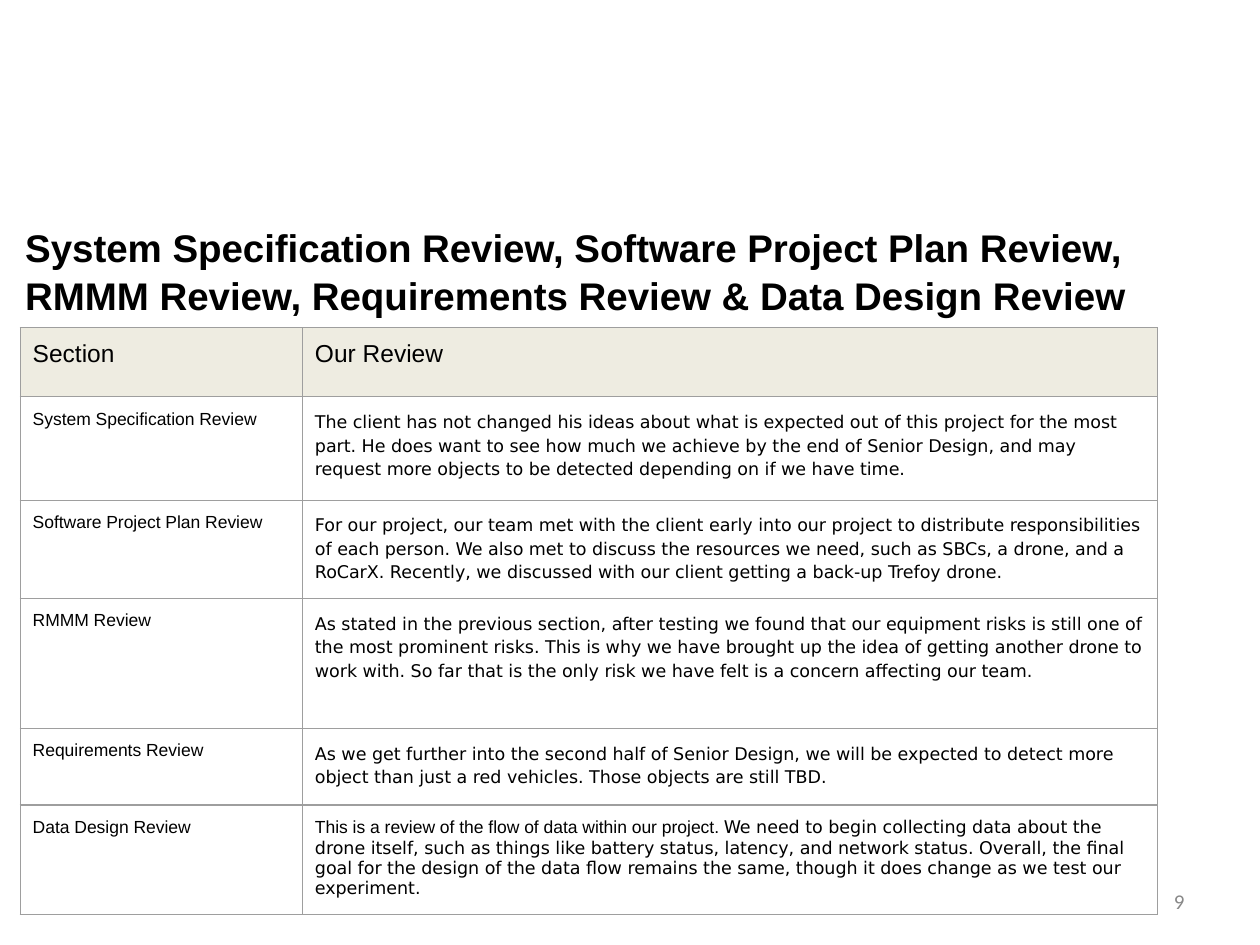
import pptx
import pptx.dml.color
import pptx.enum.text
import pptx.oxml
import pptx.oxml.ns
import pptx.util
from pptx.util import Inches

BODY_FONT = "DejaVu Sans"
LABEL_FONT = "Arial"
TITLE = ("System Specification Review, Software Project Plan Review, "
         "RMMM Review, Requirements Review & Data Design Review")
HEADERS = ("Section", "Our Review")
REVIEWS = [
    ("System Specification Review",
     "The client has not changed his ideas about what is expected out of this project for the "
     "most part. He does want to see how much we achieve by the end of Senior Design, and may "
     "request more objects to be detected depending on if we have time."),
    ("Software Project Plan Review",
     "For our project, our team met with the client early into our project to distribute "
     "responsibilities of each person. We also met to discuss the resources we need, such as "
     "SBCs, a drone, and a RoCarX. Recently, we discussed with our client getting a back-up "
     "Trefoy drone."),
    ("RMMM Review",
     "As stated in the previous section, after testing we found that our equipment risks is "
     "still one of the most prominent risks. This is why we have brought up the idea of getting "
     "another drone to work with. So far that is the only risk we have felt is a concern "
     "affecting our team."),
    ("Requirements Review",
     "As we get further into the second half of Senior Design, we will be expected to detect "
     "more object than just a red vehicles. Those objects are still TBD."),
]
DATA_LABEL = "Data Design Review"
DATA_INTRO = "This is a review of the flow of data within our project. "
DATA_REVIEW = (
    "We need to begin collecting data about the drone itself, such as things like battery "
    "status, latency, and network status. Overall, the final goal for the design of the data "
    "flow remains the same, though it does change as we test our experiment.")
COLUMN_WIDTHS = (2.24, 6.79)
ROW_HEIGHTS = (0.55, 0.82, 0.78, 1.03, 0.61, 0.56)


def color(value):
    return pptx.dml.color.RGBColor.from_string(value)


def style_font(font, name, size, ink="000000", bold=False):
    font.name = name
    font.size = pptx.util.Pt(size)
    font.bold = bold
    font.color.rgb = color(ink)


def set_margins(target, margin):
    target.margin_left = target.margin_right = Inches(margin)
    target.margin_top = target.margin_bottom = Inches(margin)


def add_title(page):
    title = page.shapes.title
    title.left, title.top = Inches(0.1), Inches(1.66)
    title.width, title.height = Inches(9.81), Inches(0.94)
    frame = title.text_frame
    frame.text = TITLE
    frame.word_wrap = True
    frame.auto_size = pptx.enum.text.MSO_AUTO_SIZE.NONE
    frame.vertical_anchor = pptx.enum.text.MSO_ANCHOR.TOP
    set_margins(frame, 0.1)
    para = frame.paragraphs[0]
    para.alignment = pptx.enum.text.PP_ALIGN.LEFT
    para.line_spacing = 1.05
    style_font(para.font, LABEL_FONT, 22, bold=True)


def add_page_number(page, number):
    box = page.shapes.add_textbox(Inches(7.17), Inches(6.95), Inches(2.33), Inches(0.4))
    frame = box.text_frame
    frame.word_wrap = True
    frame.vertical_anchor = pptx.enum.text.MSO_ANCHOR.MIDDLE
    frame.text = number
    para = frame.paragraphs[0]
    para.alignment = pptx.enum.text.PP_ALIGN.RIGHT
    style_font(para.font, "Calibri", 12, "888888")


def add_borders(cell):
    """Draw a thin grey line on all four sides of the cell."""
    properties = cell._tc.get_or_add_tcPr()
    for position, side in enumerate(("lnL", "lnR", "lnT", "lnB")):
        line = pptx.oxml.parse_xml(
            f'<a:{side} {pptx.oxml.ns.nsdecls("a")} w="9525"><a:solidFill>'
            f'<a:srgbClr val="9E9E9E"/></a:solidFill></a:{side}>')
        properties.insert(position, line)


def fill_cell(cell, text, font_name=LABEL_FONT, size=10):
    cell.text = text
    para = cell.text_frame.paragraphs[0]
    style_font(para.font, font_name, size)
    return para


def add_review_table(page):
    table = page.shapes.add_table(
        len(ROW_HEIGHTS), len(COLUMN_WIDTHS), Inches(0.16), Inches(2.6),
        Inches(sum(COLUMN_WIDTHS)), Inches(sum(ROW_HEIGHTS))).table
    table.first_row = table.horz_banding = False
    for column, width in zip(table.columns, COLUMN_WIDTHS):
        column.width = Inches(width)
    for row, height in zip(table.rows, ROW_HEIGHTS):
        row.height = Inches(height)
    for cell in table.iter_cells():
        set_margins(cell, 0.1)
        cell.fill.background()
        add_borders(cell)

    for cell, header in zip(table.rows[0].cells, HEADERS):
        fill_cell(cell, header, size=14)
        cell.fill.solid()
        cell.fill.fore_color.rgb = color("EEECE1")

    for row, (label, review) in enumerate(REVIEWS, start=1):
        fill_cell(table.cell(row, 0), label)
        para = fill_cell(table.cell(row, 1), review, BODY_FONT)
        para.line_spacing = 1.15
        para.space_after = pptx.util.Pt(10)

    last = len(ROW_HEIGHTS) - 1
    fill_cell(table.cell(last, 0), DATA_LABEL)
    para = fill_cell(table.cell(last, 1), DATA_INTRO)
    span = para.add_run()
    span.text = DATA_REVIEW
    span.font.name = BODY_FONT


def main():
    deck = pptx.Presentation()
    deck.slide_width, deck.slide_height = Inches(10), Inches(7.5)
    page = deck.slides.add_slide(deck.slide_layouts.get_by_name("Title Only"))
    add_page_number(page, "9")
    add_title(page)
    add_review_table(page)
    deck.save("out.pptx")


if __name__ == "__main__":
    main()
